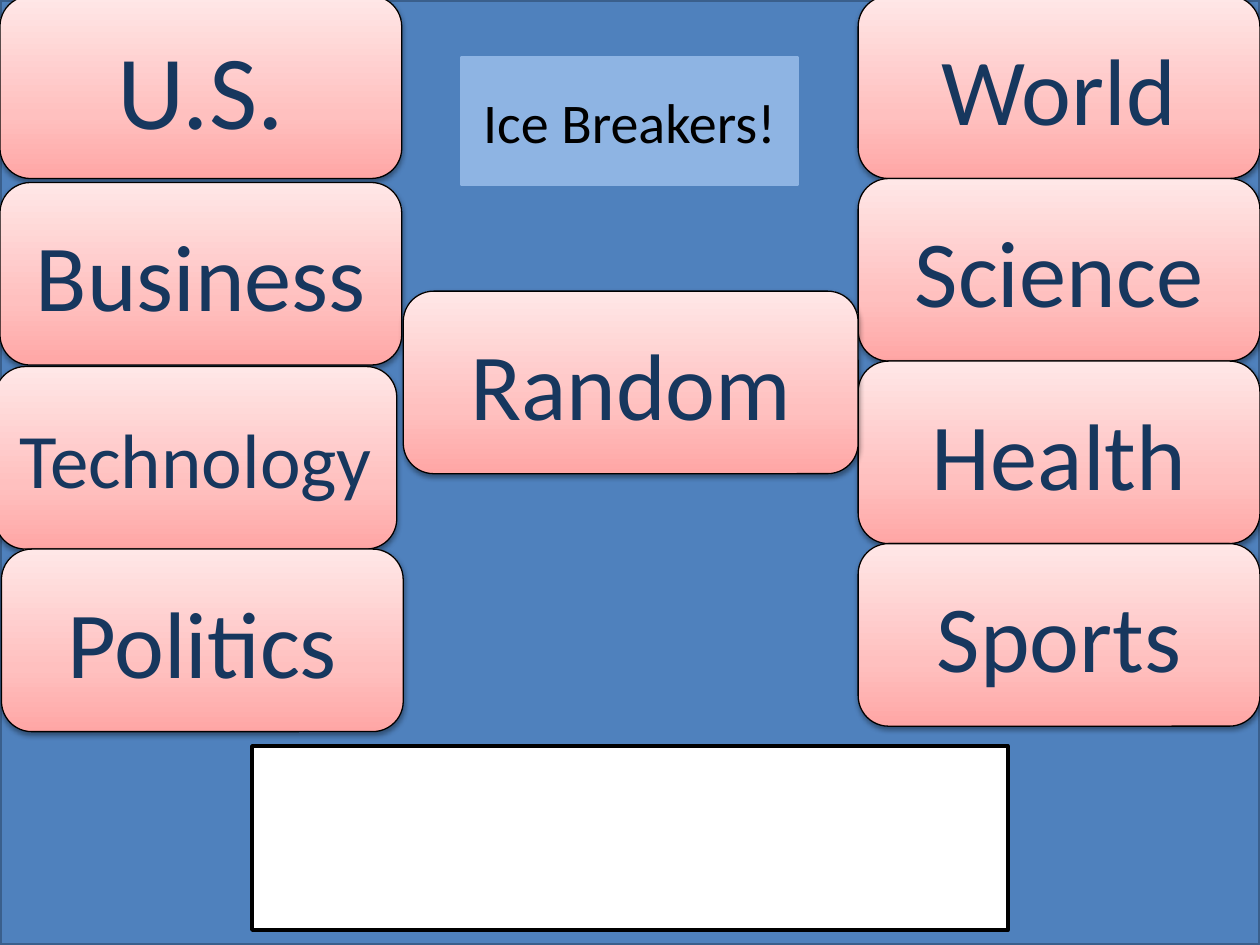
from lxml import etree
from pptx import Presentation
from pptx import util as u
from pptx.dml.color import RGBColor
from pptx.enum import shapes, text
from pptx.oxml.ns import qn

# Content: label, column, row, type size, shift from the grid (cm)
TOPICS = [
    ("U.S.", "left", 0, "large", (0, 0)),
    ("Business", "left", 1, "normal", (0, 0.08)),
    ("Technology", "left", 2, "small", (-0.1, 0.11)),
    ("Politics", "left", 3, "normal", (0.03, 0.11)),
    ("World", "right", 0, "normal", (0, 0)),
    ("Science", "right", 1, "normal", (0, 0)),
    ("Health", "right", 2, "normal", (0, 0)),
    ("Sports", "right", 3, "normal", (0, 0)),
    ("Random", "middle", 0, "normal", (0, 0)),
]
HEADING = "Ice Breakers!"

# Theme
THEME = {
    "font": "Calibri",
    "sizes": {"large": 60, "normal": 54, "small": 44, "heading": 32},
    "board": "4F81BD", "board_edge": "3A5F8C", "heading": "8EB4E3",
    "ink": "17375E", "black": "000000", "white": "FFFFFF",
    "button": [(0, "FFA6A5"), (35, "FFC0BF"), (100, "FFE7E7")],
}

# Layout in cm
PAGE_W, PAGE_H = 25.4, 19.05
BUTTON_H = 3.68
COLUMNS = {  # left, first top, width
    "left": (0, -0.08, 8.1),
    "right": (PAGE_W - 8.1, -0.08, 8.1),
    "middle": (8.13, 5.87, 9.17),
}


def place(shape, box):
    for side, value in zip(("left", "top", "width", "height"), box):
        setattr(shape, side, u.Cm(value))


def paint(shape, fill, line, weight):
    if fill:
        shape.fill.solid()
        shape.fill.fore_color.rgb = RGBColor.from_string(fill)
    shape.line.color.rgb = RGBColor.from_string(line)
    shape.line.width = u.Pt(weight)
    shape.shadow.inherit = False


def add_box(slide, kind, box, fill, line, weight):
    shape = slide.shapes.add_shape(kind, *map(u.Cm, box))
    paint(shape, fill, line, weight)
    return shape


def write(shape, words, size, color):
    frame = shape.text_frame
    frame.text = words
    frame_format = {"word_wrap": True, "auto_size": text.MSO_AUTO_SIZE.NONE,
                    "vertical_anchor": text.MSO_ANCHOR.MIDDLE}
    for name, value in frame_format.items():
        setattr(frame, name, value)
    paragraph = frame.paragraphs[0]
    paragraph.alignment = text.PP_ALIGN.CENTER
    font = paragraph.runs[0].font
    font_format = {"name": THEME["font"], "size": u.Pt(THEME["sizes"][size])}
    for name, value in font_format.items():
        setattr(font, name, value)
    font.color.rgb = RGBColor.from_string(color)


def add_color(parent, color):
    return etree.SubElement(parent, qn("a:srgbClr"), val=color)


def shade(shape):
    """Three-stop gradient, darkest at the bottom, and a soft drop shadow."""
    shape.fill.gradient()
    shape.fill.gradient_angle = 90
    properties = shape._element.spPr
    stops = properties.find(".//" + qn("a:gsLst"))
    for stop in list(stops):
        stops.remove(stop)
    for percent, color in THEME["button"]:
        add_color(etree.SubElement(stops, qn("a:gs"), pos=str(percent * 1000)), color)
    shadow = etree.SubElement(
        properties.find(qn("a:effectLst")), qn("a:outerShdw"),
        blurRad=str(u.Pt(3.1)), dist=str(u.Pt(1.6)), dir="5400000", rotWithShape="0")
    etree.SubElement(add_color(shadow, THEME["black"]), qn("a:alpha"), val="38000")


def main():
    deck = Presentation()
    deck.slide_width, deck.slide_height = u.Cm(PAGE_W), u.Cm(PAGE_H)
    slide = deck.slides.add_slide(deck.slide_layouts[5])
    rectangle = shapes.MSO_SHAPE.RECTANGLE

    # Heading, in front of the board
    heading = slide.shapes.title
    place(heading, (9.3, 1.17, 6.78, 2.54))
    paint(heading, THEME["heading"], THEME["heading"], 2)
    write(heading, HEADING, "heading", THEME["black"])
    board = add_box(slide, rectangle, (0, 0, PAGE_W, PAGE_H),
                    THEME["board"], THEME["board_edge"], 2)
    heading._element.addprevious(board._element)

    # Empty answer panel
    add_box(slide, rectangle, (5.08, 15.04, 15.24, 3.71),
            THEME["white"], THEME["black"], 2)

    # Topic buttons
    for label, column, row, size, (shift_x, shift_y) in TOPICS:
        left, top, width = COLUMNS[column]
        box = (left + shift_x, top + row * BUTTON_H + shift_y, width, BUTTON_H)
        button = add_box(slide, shapes.MSO_SHAPE.ROUNDED_RECTANGLE, box,
                         None, THEME["black"], 0.75)
        shade(button)
        write(button, label, size, THEME["ink"])

    deck.save("out.pptx")


if __name__ == "__main__":
    main()
